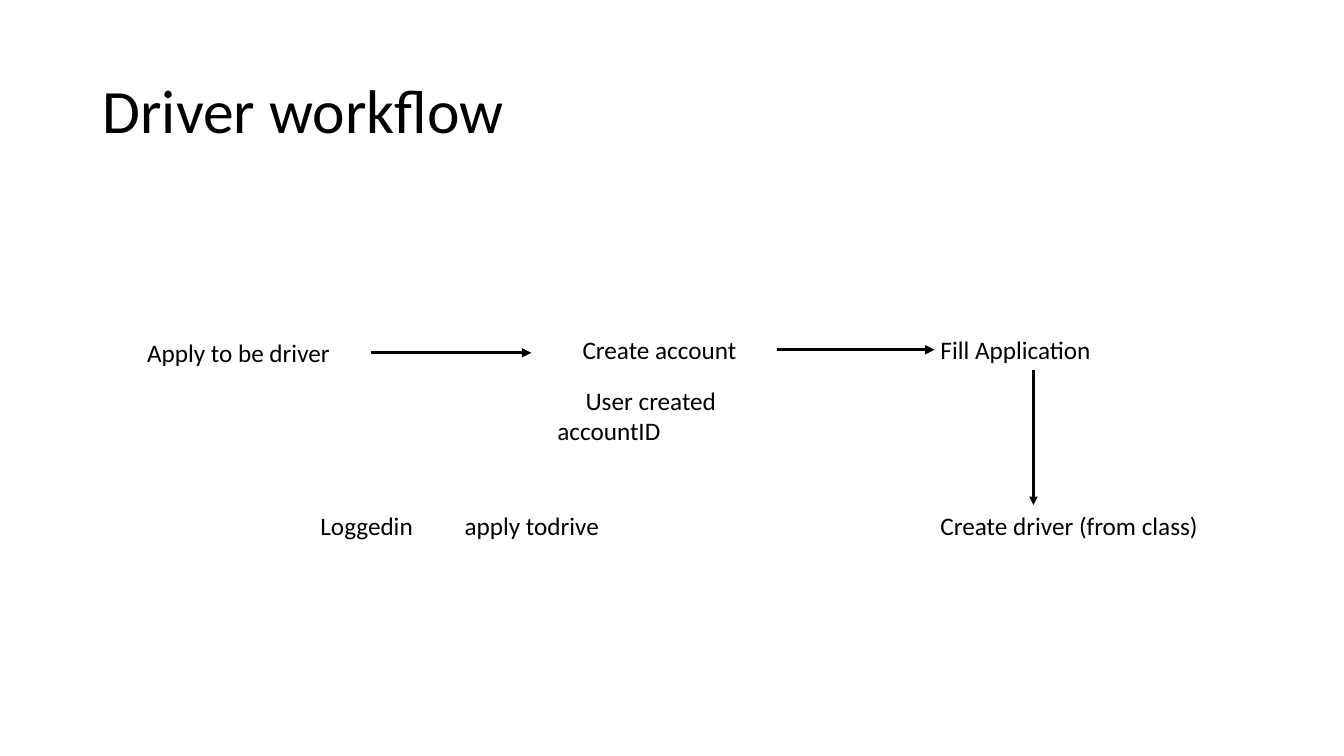
import pptx
import pptx.dml.color
import pptx.enum.shapes
import pptx.enum.text
import pptx.oxml.ns
import pptx.util
from lxml import etree

SCALE = 9144  # EMU in one px, 100 px to the inch


def px(num):
    return pptx.util.Emu(num * SCALE)


def hue(code):
    return pptx.dml.color.RGBColor.from_string(code)


def add(node, tag, **attrs):
    """Append a DrawingML child to an XML node."""
    return etree.SubElement(node, pptx.oxml.ns.qn(tag), **attrs)


class Deck:
    font = "Calibri"
    ink = "000000"
    body = 18

    def __init__(self, wide, high):
        self.file = pptx.Presentation()
        self.file.slide_width = px(wide)
        self.file.slide_height = px(high)
        self.slide = self.file.slides.add_slide(self.file.slide_layouts[6])

    def text(self, words, left, top, wide, high, size=body):
        box = self.slide.shapes.add_textbox(px(left), px(top), px(wide), px(high))
        frame = box.text_frame
        frame.word_wrap = True
        frame.text = words
        for para in frame.paragraphs:
            for run in para.runs:
                run.font.name = self.font
                run.font.size = pptx.util.Pt(size)
                run.font.color.rgb = hue(self.ink)
        return frame

    def title(self, words, *place):
        frame = self.text(words, *place, size=44)
        frame.vertical_anchor = pptx.enum.text.MSO_ANCHOR.MIDDLE
        frame.paragraphs[0].line_spacing = 0.9

    def indent(self, para, size):
        para._p.get_or_add_pPr().set("indent", str(px(size)))

    def tab(self, para, stop):
        stops = add(para._p.get_or_add_pPr(), "a:tabLst")
        add(stops, "a:tab", pos=str(px(stop)), algn="l")

    def arrow(self, left, top, right, foot, width):
        line = self.slide.shapes.add_connector(
            pptx.enum.shapes.MSO_CONNECTOR.STRAIGHT,
            px(left), px(top), px(right), px(foot))
        line.line.color.rgb = hue(self.ink)
        line.line.width = pptx.util.Pt(width)
        add(line.line._get_or_add_ln(), "a:tailEnd", type="triangle")
        add(line._element.spPr, "a:effectLst")


def main():
    deck = Deck(1333, 750)
    deck.title("Driver workflow", 92, 40, 1150, 145)

    for words, left, top, wide in (
        ("Apply to be driver", 136, 330, 232),
        ("Create account", 568, 327, 203),
        ("Fill Application", 923, 327, 203),
        ("Create driver (from class)", 923, 501, 277),
    ):
        deck.text(words, left, top, wide, 40)

    user = deck.text("User created\naccountID", 543, 377, 216, 71)
    deck.indent(user.paragraphs[0], 28)
    login = deck.text("Loggedin\tapply todrive", 308, 501, 500, 222)
    deck.tab(login.paragraphs[0], 143)

    deck.arrow(368, 350, 527, 350, 2.25)
    deck.arrow(771, 347, 927, 347, 2.25)
    deck.arrow(1025, 367, 1025, 501, 1.5)
    deck.file.save("out.pptx")


if __name__ == "__main__":
    main()
